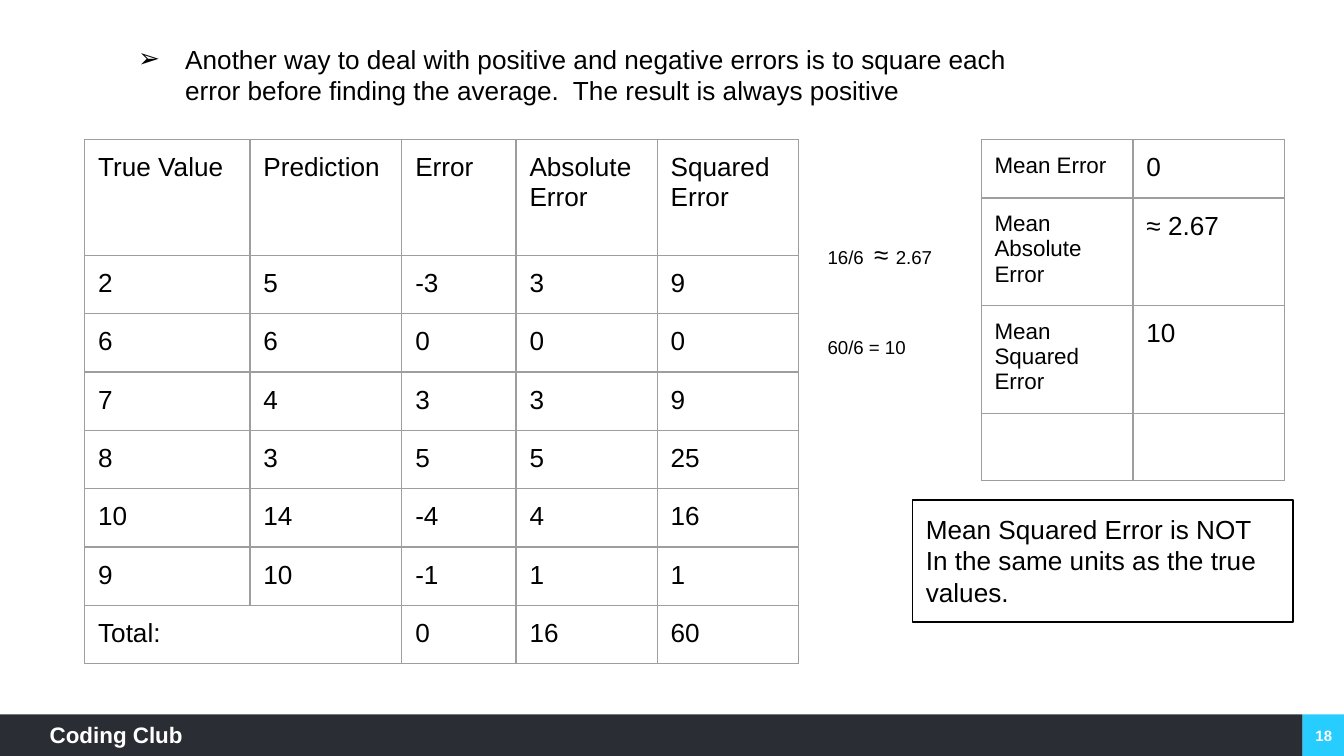
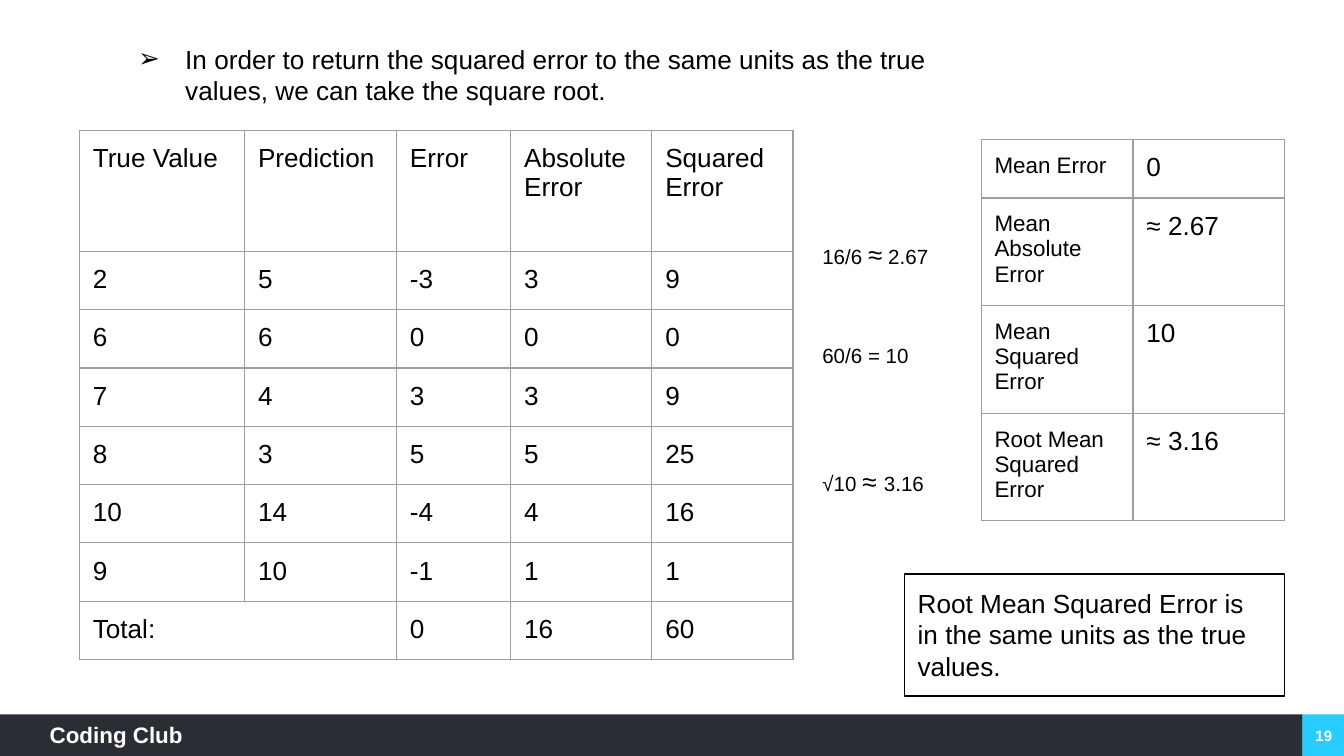
from dataclasses import dataclass

from lxml import etree
from pptx import Presentation
from pptx.dml.color import RGBColor
from pptx.enum.shapes import MSO_SHAPE
from pptx.enum.text import MSO_ANCHOR, MSO_AUTO_SIZE, PP_ALIGN
from pptx.oxml.ns import qn
from pptx.util import Inches, Pt

RECT = MSO_SHAPE.RECTANGLE
MIDDLE, TOP = MSO_ANCHOR.MIDDLE, MSO_ANCHOR.TOP
CENTER, LEFT = PP_ALIGN.CENTER, PP_ALIGN.LEFT
GROW = MSO_AUTO_SIZE.SHAPE_TO_FIT_TEXT


@dataclass(frozen=True)
class Theme:
    font: str = "Arial"
    ink: str = "000000"
    paper: str = "FFFFFF"
    band: str = "2A2D34"
    accent: str = "28CDFF"
    grid: str = "9E9E9E"
    body: float = 14
    label: float = 12
    page: float = 8
    hairline: float = 0.75
    inset: float = 0.1


THEME = Theme()
SLIDE_W = 10
SLIDE_H = SLIDE_W * 9 / 16
FOOTER_H = 0.31

ERROR_COLUMNS = [1.23, 1.13, 0.85, 1.05, 1.05]
ERROR_ROW = 0.43
ERROR_HEADS = ["True Value", "Prediction", "Error",
               "Absolute\nError", "Squared\nError"]
OBSERVATIONS = [(2, 5), (6, 6), (7, 4), (8, 3), (10, 14), (9, 10)]

METRIC_COLUMNS = [1.13, 1.13]
METRICS = [("Mean Error", "0"), ("Mean Absolute Error", "≈ 2.67"),
           ("Mean Squared Error", "10")]
METRIC_ROWS = [0.43, 0.8, 0.8]


# Text helpers
def add_run(paragraph, text, size, color=THEME.ink, bold=False):
    run = paragraph.add_run()
    run.text = text
    run.font.name = THEME.font
    run.font.size = Pt(size)
    run.font.bold = bold
    run.font.color.rgb = RGBColor.from_string(color)


def set_frame(frame, inset_x=THEME.inset, inset_y=THEME.inset, anchor=TOP):
    frame.word_wrap = True
    frame.vertical_anchor = anchor
    frame.margin_left = frame.margin_right = Inches(inset_x)
    frame.margin_top = frame.margin_bottom = Inches(inset_y)


def write_lines(frame, lines, size, color=THEME.ink, bold=False, align=LEFT):
    for index, line in enumerate(lines):
        paragraph = frame.paragraphs[0] if index == 0 else frame.add_paragraph()
        paragraph.alignment = align
        add_run(paragraph, line, size, color, bold)


def add_text_box(slide, box):
    frame = slide.shapes.add_textbox(*map(Inches, box)).text_frame
    set_frame(frame)
    return frame


def add_rect(slide, box, fill=None, line=None):
    rect = slide.shapes.add_shape(RECT, *map(Inches, box))
    rect.shadow.inherit = False
    if fill:
        rect.fill.solid()
        rect.fill.fore_color.rgb = RGBColor.from_string(fill)
    else:
        rect.fill.background()
    if line:
        rect.line.color.rgb = RGBColor.from_string(line)
        rect.line.width = Pt(THEME.hairline)
    else:
        rect.line.fill.background()
    return rect


# Table helpers
def set_borders(cell):
    properties = cell._tc.get_or_add_tcPr()
    for position, side in enumerate(("lnL", "lnR", "lnT", "lnB")):
        border = etree.Element(qn(f"a:{side}"), w=str(Pt(THEME.hairline)))
        fill = etree.SubElement(border, qn("a:solidFill"))
        etree.SubElement(fill, qn("a:srgbClr"), val=THEME.grid)
        properties.insert(position, border)


def add_grid(slide, left, top, columns, rows, texts, sizes):
    box = (left, top, sum(columns), sum(rows))
    table = slide.shapes.add_table(
        len(rows), len(columns), *map(Inches, box)).table
    table.first_row = table.horz_banding = False
    for column, width in zip(table.columns, columns):
        column.width = Inches(width)
    for row, height, row_texts in zip(table.rows, rows, texts):
        row.height = Inches(height)
        for cell, text, size in zip(row.cells, row_texts, sizes):
            cell.fill.background()
            cell.margin_left = cell.margin_right = Inches(THEME.inset)
            cell.margin_top = cell.margin_bottom = Inches(THEME.inset)
            set_borders(cell)
            if text:
                write_lines(cell.text_frame, text.split("\n"), size)
    return table


# Footer band with page number
def add_footer(slide, number):
    top = SLIDE_H - FOOTER_H
    split = SLIDE_W - FOOTER_H
    add_rect(slide, (split, top, FOOTER_H, FOOTER_H), THEME.accent)
    add_rect(slide, (0, top, split, FOOTER_H), THEME.band)

    brand = add_text_box(slide, (0.37, top + 0.05, 1.57, 0.23))
    set_frame(brand, 0, 0)
    write_lines(brand, ["Coding Club"], THEME.label, THEME.paper, True)

    page = add_text_box(slide, (split + 0.01, top + 0.01, 0.3, 0.3))
    set_frame(page, 0.07, 0.04, MIDDLE)
    write_lines(page, [str(number)], THEME.page, THEME.paper, True, CENTER)


# Error table: one row per observation, then the totals
def add_error_table(slide, left, top, head_height):
    records = [(true, guess, true - guess, abs(true - guess),
                (true - guess) ** 2) for true, guess in OBSERVATIONS]
    totals = [sum(column) for column in list(zip(*records))[2:]]
    texts = [ERROR_HEADS,
             *[[str(value) for value in record] for record in records],
             ["Total:", "", *map(str, totals)]]
    rows = [head_height] + [ERROR_ROW] * (len(texts) - 1)
    table = add_grid(slide, left, top, ERROR_COLUMNS, rows, texts,
                     [THEME.body] * len(ERROR_COLUMNS))
    last = len(rows) - 1
    table.cell(last, 0).merge(table.cell(last, 1))


# Metric table: the last row may still be open
def add_metric_table(slide, left, top, last_metric, last_height):
    add_grid(slide, left, top, METRIC_COLUMNS, METRIC_ROWS + [last_height],
             METRICS + [last_metric], [THEME.label, THEME.body])


# Bulleted lead sentence
def add_lead(slide, box, text):
    frame = add_text_box(slide, box)
    frame.auto_size = GROW
    write_lines(frame, [text], THEME.body)
    properties = frame.paragraphs[0]._p.get_or_add_pPr()
    properties.set("marL", str(Inches(0.5)))
    properties.set("indent", str(Inches(-0.35)))
    color = etree.SubElement(properties, qn("a:buClr"))
    etree.SubElement(color, qn("a:srgbClr"), val=THEME.ink)
    etree.SubElement(properties, qn("a:buFont"), typeface=THEME.font)
    etree.SubElement(properties, qn("a:buChar"), char="➢")


# Outlined remark
def add_remark(slide, box, lines):
    frame = add_rect(slide, box, line=THEME.ink).text_frame
    set_frame(frame)
    write_lines(frame, lines, THEME.body)


# Workings: each is (points above, runs), with the ≈ sign set larger
def add_workings(slide, box, size, workings):
    frame = add_text_box(slide, box)
    for index, (gap, runs) in enumerate(workings):
        paragraph = frame.paragraphs[0] if index == 0 else frame.add_paragraph()
        paragraph.space_before = Pt(gap)
        for text in runs:
            add_run(paragraph, text, THEME.body if "≈" in text else size)


def add_error_slide(prs, number, lead, error_table, last_metric, remark,
                    workings):
    slide = prs.slides.add_slide(prs.slide_layouts[6])
    add_footer(slide, number)
    add_error_table(slide, *error_table)
    add_metric_table(slide, 7.3, 1.04, *last_metric)
    add_lead(slide, (0.78, 0.22, 6.83, 0.67), lead)
    add_remark(slide, *remark)
    add_workings(slide, *workings)


def main():
    prs = Presentation()
    prs.slide_width, prs.slide_height = Inches(SLIDE_W), Inches(SLIDE_H)

    add_error_slide(
        prs, 18,
        lead="Another way to deal with positive and negative errors is to "
             "square each error before finding the average.  The result is "
             "always positive",
        error_table=(0.63, 1.04, 0.86),
        last_metric=(("", ""), 0.5),
        remark=((6.79, 3.72, 2.83, 0.91),
                ["Mean Squared Error is NOT",
                 "In the same units as the true values."]),
        workings=((6.06, 1.67, 1.24, 1.11), 10,
                  [(0, ["16/6  ", "≈ ", "2.67"]), (35.5, ["60/6 = 10"])]))

    add_error_slide(
        prs, 19,
        lead="In order to return the squared error to the same units as the "
             "true values, we can take the square root.",
        error_table=(0.59, 0.97, 0.9),
        last_metric=(("Root Mean Squared Error", "≈ 3.16"), 0.8),
        remark=((6.73, 4.27, 2.83, 0.91),
                ["Root Mean Squared Error is",
                 "in the same units as the true values."]),
        workings=((6.02, 1.67, 1.29, 2.15), 11,
                  [(0, ["16/6 ", "≈", " 2.67"]), (39.5, ["60/6 = 10"]),
                   (52.5, ["√10 ", "≈ ", "3.16"])]))

    prs.save("out.pptx")


if __name__ == "__main__":
    main()
